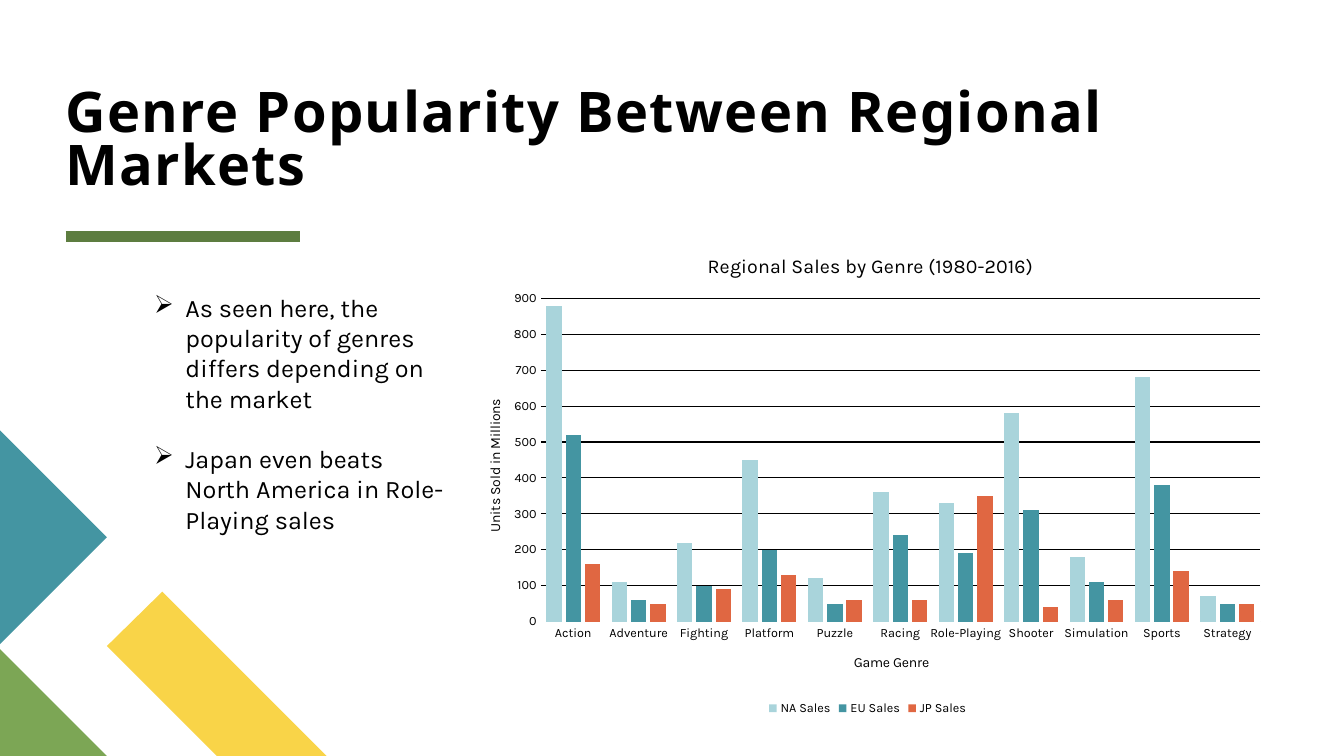
from lxml import etree
from pptx import Presentation
from pptx import util as u
from pptx.chart.data import CategoryChartData
from pptx.dml.color import RGBColor
from pptx.enum import chart as ch, shapes, text
from pptx.oxml.ns import qn

COLORS = {
    "black": "000000", "white": "FFFFFF", "rule": "5D7D40", "yellow": "F9D448",
    "green": "7CA655", "teal": "4495A2", "pale": "A9D4DB", "orange": "E06742",
}
TITLE = "Genre Popularity Between Regional Markets"
BULLETS = [
    "As seen here, the popularity of genres differs depending on the market",
    "Japan even beats North America in Role-Playing sales",
]
GENRES = ["Action", "Adventure", "Fighting", "Platform", "Puzzle", "Racing",
          "Role-Playing", "Shooter", "Simulation", "Sports", "Strategy"]
SALES = [
    ("NA Sales", "pale", (880, 110, 220, 450, 120, 360, 330, 580, 180, 680, 70)),
    ("EU Sales", "teal", (520, 60, 100, 200, 50, 240, 190, 310, 110, 380, 50)),
    ("JP Sales", "orange", (160, 50, 90, 130, 60, 60, 350, 40, 60, 140, 50)),
]
CORNER_SHAPES = [
    ("yellow", [(3.24, 7.5), (2.15, 7.5), (1.06, 6.41), (1.61, 5.87)]),
    ("green", [(1.06, 7.5), (0, 7.5), (0, 6.44)]),
    ("teal", [(0, 4.27), (1.06, 5.33), (0, 6.39)]),
]
CHART_TITLE = ("Regional Sales by Genre (1980-2016)", 14, (0.3, 0.04))
GENRE_TITLE = ("Game Genre", 10, (0.48, 0.86))
UNITS_TITLE = ("Units Sold in Millions", 10, (0.03, 0.34))
PLOT_AREA = (0.1, 0.14, 0.88, 0.66)


def rgb(name):
    return RGBColor.from_string(COLORS[name])


def set_font(font, size, name="Karla", bold=False):
    values = {"size": u.Pt(size), "name": name, "bold": bold}
    for key, value in values.items():
        setattr(font, key, value)
    font.color.rgb = rgb("black")


def add_text(s, box):
    sp = s.shapes.add_textbox(*map(u.Inches, box))
    tf = sp.text_frame
    tf.word_wrap = True
    return tf


def place(parent, values, inner=False):
    layout = parent.find(qn("c:layout"))
    if layout is None:
        layout = etree.Element(qn("c:layout"))
        parent.insert(0, layout)
    manual = etree.SubElement(layout, qn("c:manualLayout"))
    if inner:
        etree.SubElement(manual, qn("c:layoutTarget")).set("val", "inner")
    for key in ("xMode", "yMode"):
        etree.SubElement(manual, qn("c:" + key)).set("val", "edge")
    for key, value in zip("xywh", values):
        etree.SubElement(manual, qn("c:" + key)).set("val", str(value))


def add_chart_title(title, content):
    wording, size, position = content
    p = title.text_frame.paragraphs[0]
    r = p.add_run()
    r.text = wording
    set_font(r.font, size)
    place(title._element, position)


def add_decor(s):
    rule = s.shapes.add_connector(
        shapes.MSO_CONNECTOR.STRAIGHT, *map(u.Inches, (0.65, 2.35, 2.98, 2.35)))
    rule.line.color.rgb = rgb("rule")
    rule.line.width = u.Pt(8)
    etree.SubElement(rule._element.spPr, qn("a:effectLst"))
    for color, points in CORNER_SHAPES:
        start, *rest = [tuple(map(u.Inches, point)) for point in points]
        builder = s.shapes.build_freeform(*start)
        builder.add_line_segments(rest, close=True)
        sp = builder.convert_to_shape()
        sp.shadow.inherit = False
        sp.fill.solid()
        sp.fill.fore_color.rgb = rgb(color)
        sp.line.fill.background()


def add_title(s):
    tf = add_text(s, (0.65, 0.11, 11.89, 1.84))
    for side in ("left", "top", "right", "bottom"):
        setattr(tf, "margin_" + side, 0)
    tf.vertical_anchor = text.MSO_ANCHOR.BOTTOM
    p = tf.paragraphs[0]
    p.line_spacing = 0.8
    r = p.add_run()
    r.text = TITLE
    set_font(r.font, 40, "Noto Sans", True)
    r._r.get_or_add_rPr().set("spc", "100")


def add_bullets(s):
    tf = add_text(s, (1.43, 2.85, 3.12, 2.52))
    indent = u.Inches(0.31)
    for i, wording in enumerate(BULLETS):
        p = tf.add_paragraph() if i else tf.paragraphs[0]
        p.space_before = u.Pt(21.6 if i else 0)
        r = p.add_run()
        r.text = wording
        set_font(r.font, 18)
        props = p._p.get_or_add_pPr()
        props.set("marL", str(indent))
        props.set("indent", str(-indent))
        etree.SubElement(props, qn("a:buChar")).set("char", "➢")


def add_sales_chart(s):
    data = CategoryChartData()
    data.categories = GENRES
    for name, color, values in SALES:
        data.add_series(name, values)
    chart = s.shapes.add_chart(
        ch.XL_CHART_TYPE.COLUMN_CLUSTERED,
        *map(u.Inches, (4.55, 2.28, 8.11, 4.86)), data).chart
    set_font(chart.font, 10)
    chart.has_title = True
    add_chart_title(chart.chart_title, CHART_TITLE)
    chart.has_legend = True
    chart.legend.position = ch.XL_LEGEND_POSITION.BOTTOM
    chart.legend.include_in_layout = False
    set_font(chart.legend.font, 9)

    plot = chart.plots[0]
    for key, value in {"gap_width": 75, "overlap": -25, "vary_by_categories": False}.items():
        setattr(plot, key, value)
    for series, (name, color, values) in zip(plot.series, SALES):
        series.format.fill.solid()
        series.format.fill.fore_color.rgb = rgb(color)
        series.invert_if_negative = False

    genre_axis, units_axis = chart.category_axis, chart.value_axis
    for axis, content in ((genre_axis, GENRE_TITLE), (units_axis, UNITS_TITLE)):
        axis.major_tick_mark = axis.minor_tick_mark = ch.XL_TICK_MARK.NONE
        set_font(axis.tick_labels.font, 9)
        axis.has_title = True
        add_chart_title(axis.axis_title, content)
    body = units_axis.axis_title.text_frame._txBody.find(qn("a:bodyPr"))
    body.set("rot", "-5400000")
    body.set("vert", "horz")
    for key, value in {"minimum_scale": 0, "maximum_scale": 900, "major_unit": 100}.items():
        setattr(units_axis, key, value)
    units_axis.format.line.fill.background()
    for line, color in ((genre_axis.format.line, "white"),
                        (units_axis.major_gridlines.format.line, "black")):
        line.color.rgb = rgb(color)
        line.width = u.Pt(0.75)
    place(chart._chartSpace.chart.plotArea, PLOT_AREA, inner=True)


def main():
    prs = Presentation()
    prs.slide_width, prs.slide_height = u.Inches(13.33), u.Inches(7.5)
    s = prs.slides.add_slide(prs.slide_layouts[6])
    for add_part in (add_decor, add_title, add_bullets, add_sales_chart):
        add_part(s)
    prs.save("out.pptx")


if __name__ == "__main__":
    main()
